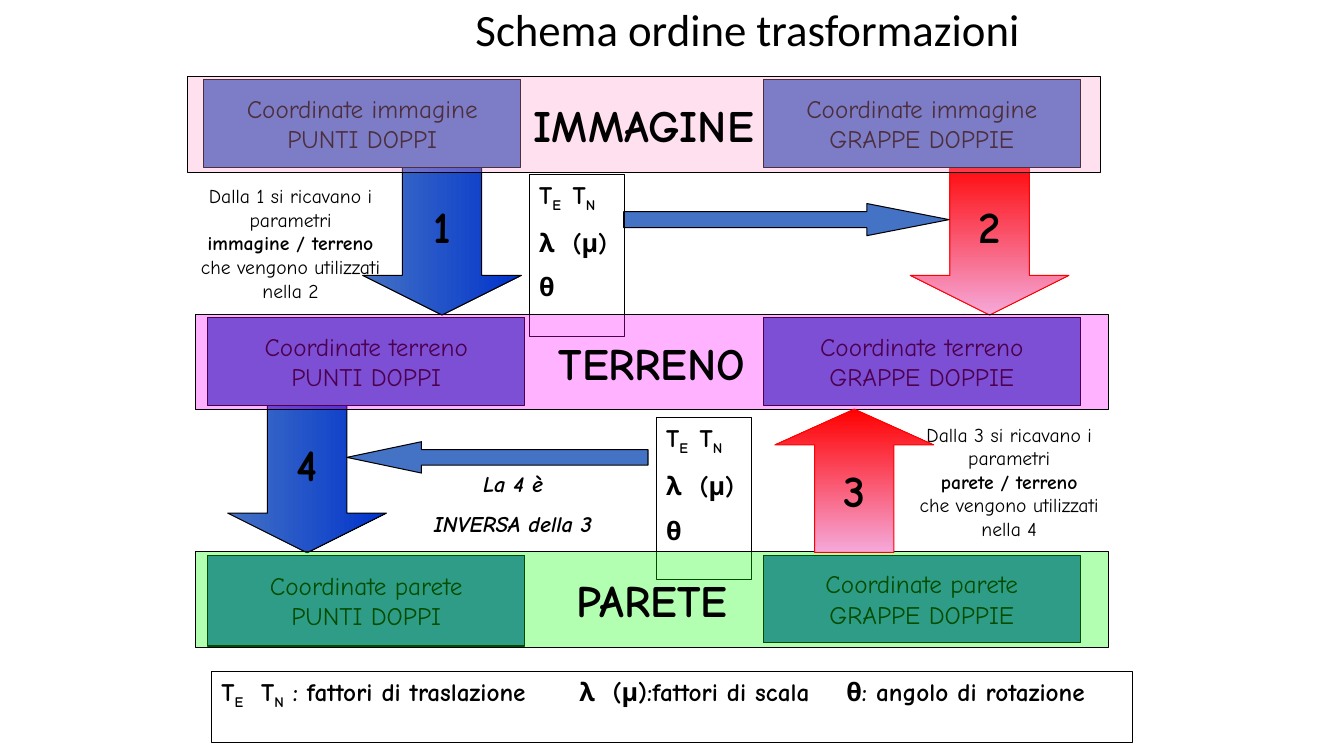
from dataclasses import dataclass

from lxml import etree
from pptx import Presentation
from pptx.dml.color import RGBColor
from pptx.enum.shapes import MSO_SHAPE
from pptx.enum.text import MSO_ANCHOR, MSO_AUTO_SIZE, PP_ALIGN
from pptx.oxml.ns import qn
from pptx.util import Cm, Pt

RECTANGLE = MSO_SHAPE.RECTANGLE
DOWN, UP, RIGHT = MSO_SHAPE.DOWN_ARROW, MSO_SHAPE.UP_ARROW, MSO_SHAPE.RIGHT_ARROW
LEFT_ALIGN, CENTER = PP_ALIGN.LEFT, PP_ALIGN.CENTER
TOP, MIDDLE = MSO_ANCHOR.TOP, MSO_ANCHOR.MIDDLE
GROW, FIXED = MSO_AUTO_SIZE.SHAPE_TO_FIT_TEXT, MSO_AUTO_SIZE.NONE

BLACK = RGBColor(0x00, 0x00, 0x00)
BLUE = RGBColor(0x44, 0x72, 0xC4)
DEEP_BLUE = RGBColor(0x00, 0x33, 0xCC)
RED = RGBColor(0xFF, 0x00, 0x00)
LIGHT_PINK = RGBColor(0xF5, 0xA9, 0xDA)
ROSE = RGBColor(0xFF, 0x99, 0xCC)
MAGENTA = RGBColor(0xFF, 0x00, 0xFF)
GREEN = RGBColor(0x00, 0xFF, 0x00)

FONT = "Comic Neue"
ROW_TOP, ROW_PITCH = 1.93, 5.99


@dataclass(frozen=True)
class Area:
    left: float
    top: float
    width: float
    height: float

    def lengths(self) -> tuple:
        return Cm(self.left), Cm(self.top), Cm(self.width), Cm(self.height)


@dataclass(frozen=True)
class Piece:
    text: str
    bold: bool = False
    subscript: bool = False


@dataclass(frozen=True)
class TextStyle:
    size: int
    align: PP_ALIGN = CENTER
    anchor: MSO_ANCHOR = MIDDLE
    wrap: bool = False
    grow: bool = False
    italic: bool = False
    space: int = 0
    tabs: tuple = ()


@dataclass(frozen=True)
class Level:
    name: str
    color: RGBColor
    left: float
    doubles_left: float
    doubles_height: float


@dataclass(frozen=True)
class Step:
    number: str
    preset: MSO_SHAPE
    area: Area
    colors: tuple
    angle: int
    line: RGBColor


NUMBER = TextStyle(32)
COORDINATES = TextStyle(18)
NOTE = TextStyle(14, anchor=TOP, wrap=True, grow=True)
INVERSE = TextStyle(16, anchor=TOP, wrap=True, grow=True, italic=True, space=9)
PARAMETERS = TextStyle(18, LEFT_ALIGN, TOP, True, True, space=10, tabs=(0.84, 1))
LEGEND = TextStyle(18, LEFT_ALIGN, TOP, True, True, tabs=(1, 9.02, 9.86, 15.75))

TRANSLATIONS = (Piece("T", True), Piece("E", True, True),
                Piece("\tT", True), Piece("N", True, True))


def write(shape, paragraphs: tuple, style: TextStyle) -> None:
    """Fill a shape with paragraphs, each a tuple of pieces."""
    frame = shape.text_frame
    frame_format = {"word_wrap": style.wrap, "vertical_anchor": style.anchor,
                    "auto_size": GROW if style.grow else FIXED}
    for name, value in frame_format.items():
        setattr(frame, name, value)
    for index, pieces in enumerate(paragraphs):
        paragraph = frame.add_paragraph() if index else frame.paragraphs[0]
        paragraph.alignment = style.align
        if index and style.space:
            paragraph.space_before = Pt(style.space)
        if style.tabs:
            tab_list = etree.SubElement(paragraph._p.get_or_add_pPr(), qn("a:tabLst"))
            for position in style.tabs:
                etree.SubElement(tab_list, qn("a:tab"), pos=str(Cm(position)), algn="l")
        for piece in pieces:
            run = paragraph.add_run()
            run.text = piece.text
            font_format = {"name": FONT, "size": Pt(style.size),
                           "bold": piece.bold, "italic": style.italic}
            for name, value in font_format.items():
                setattr(run.font, name, value)
            run.font.color.rgb = BLACK
            if piece.subscript:
                run._r.get_or_add_rPr().set("baseline", "-25000")


def add_block(slide, preset: MSO_SHAPE, area: Area, fill: RGBColor | None = None,
              line: RGBColor = BLACK):
    shape = slide.shapes.add_shape(preset, *area.lengths())
    shape.shadow.inherit = False
    shape.line.color.rgb = line
    shape.line.width = Pt(0.75)
    if fill is None:
        shape.fill.background()
    else:
        shape.fill.solid()
        shape.fill.fore_color.rgb = fill
    return shape


def add_step(slide, step: Step) -> None:
    shape = add_block(slide, step.preset, step.area, line=step.line)
    shape.adjustments[0], shape.adjustments[1] = 0.5, 0.25
    shape.fill.gradient()
    shape.fill.gradient_angle = step.angle
    for stop, color in zip(shape.fill.gradient_stops, step.colors):
        stop.color.rgb = color
    write(shape, ((Piece(step.number, True),),), NUMBER)


def add_link(slide, area: Area, head: float, rotation: int) -> None:
    shape = add_block(slide, RIGHT, area, BLUE)
    shape.adjustments[0], shape.adjustments[1] = 0.5, head
    shape.rotation = rotation


def add_text(slide, area: Area, paragraphs: tuple, style: TextStyle) -> None:
    write(slide.shapes.add_textbox(*area.lengths()), paragraphs, style)


def add_parameters(slide, left: float, top: float) -> None:
    shape = add_block(slide, RECTANGLE, Area(left, top, 2.39, 4.09))
    write(shape, (TRANSLATIONS, (Piece("λ\t(μ)", True),), (Piece("θ", True),)), PARAMETERS)


def add_coordinates(slide, level: Level, top: float) -> None:
    columns = (("PUNTI DOPPI", level.doubles_left, level.doubles_height),
               ("GRAPPE DOPPIE", 19.23, 2.21))
    for points, left, height in columns:
        shape = add_block(slide, RECTANGLE, Area(left, top + 0.08, 8, height), BLUE)
        caption = f"Coordinate {level.name.lower()}"
        write(shape, ((Piece(caption),), (Piece(points),)), COORDINATES)


def add_band(slide, level: Level, top: float) -> None:
    shape = add_block(slide, RECTANGLE, Area(level.left, top, 23.01, 2.41), level.color)
    color = shape._element.spPr.find(qn("a:solidFill"))[0]
    etree.SubElement(color, qn("a:alpha"), val="30000")
    write(shape, ((Piece(level.name, True),),), NUMBER)


LEVELS = (Level("IMMAGINE", ROSE, 4.72, 5.13, 2.21),
          Level("TERRENO", MAGENTA, 4.93, 5.23, 2.21),
          Level("PARETE", GREEN, 4.93, 5.23, 2.29))
DOWN_STEPS = (Step("1", DOWN, Area(9.14, 3.94, 4, 4), (BLUE, DEEP_BLUE), 0, BLACK),
              Step("2", DOWN, Area(22.94, 3.94, 4, 4), (RED, LIGHT_PINK), 270, RED),
              Step("4", DOWN, Area(5.74, 9.93, 4, 4), (BLUE, DEEP_BLUE), 0, BLACK))
UP_STEP = Step("3", UP, Area(19.53, 10.31, 4, 3.61), (RED, LIGHT_PINK), 270, RED)
NOTES = ((Area(4.72, 4.52, 5.21, 3.25), "1", "immagine", "2"),
         (Area(22.73, 10.52, 5.41, 3.25), "3", "parete", "4"))


def main() -> None:
    presentation = Presentation()
    presentation.slide_width, presentation.slide_height = Cm(33.87), Cm(19.05)
    slide = presentation.slides.add_slide(presentation.slide_layouts[0])

    # Title
    subtitle = slide.placeholders[1]._element
    subtitle.getparent().remove(subtitle)
    title = slide.shapes.title
    title.left, title.top, title.width, title.height = Area(8.05, 0, 21.59, 1.6).lengths()
    title.text_frame.text = "Schema ordine trasformazioni"
    title.text_frame.auto_size, title.text_frame.vertical_anchor = FIXED, MIDDLE
    paragraph = title.text_frame.paragraphs[0]
    paragraph.alignment, paragraph.line_spacing = CENTER, 0.9
    paragraph.font.name, paragraph.font.size = "Calibri", Pt(32)
    paragraph.font.color.rgb = BLACK

    # Numbered steps and their notes
    for step in DOWN_STEPS:
        add_step(slide, step)
    for area, source, level_name, target in NOTES:
        add_text(slide, area, ((Piece(f"Dalla {source} si ricavano i parametri"),),
                               (Piece(f"{level_name} / terreno", True),),
                               (Piece(f"che vengono utilizzati nella {target}"),)), NOTE)

    # Parameters handed from one step to the next
    add_parameters(slide, 16.54, 10.52)
    add_link(slide, Area(15.72, 5.13, 8.2, 0.81), 2.56, 0)
    add_link(slide, Area(8.74, 11.13, 7.59, 0.79), 2.38, 180)

    # Coordinates, legend and the translucent level bands
    tops = [ROW_TOP + ROW_PITCH * row for row in range(len(LEVELS))]
    for level, top in zip(LEVELS, tops):
        add_coordinates(slide, level, top)
    add_parameters(slide, 13.34, 4.39)
    legend = add_block(slide, RECTANGLE, Area(5.33, 16.92, 23.22, 1.8))
    meanings = " : fattori di traslazione\tλ\t(μ):fattori di scala\tθ: angolo di rotazione"
    write(legend, (TRANSLATIONS + (Piece(meanings, True),),), LEGEND)
    for level, top in zip(LEVELS, tops):
        add_band(slide, level, top)

    # Step back up and its inverse
    add_step(slide, UP_STEP)
    add_text(slide, Area(9.73, 11.73, 6.4, 1.96),
             ((Piece("La 4 è", True),), (Piece("INVERSA della 3", True),)), INVERSE)

    presentation.save("out.pptx")


if __name__ == "__main__":
    main()
